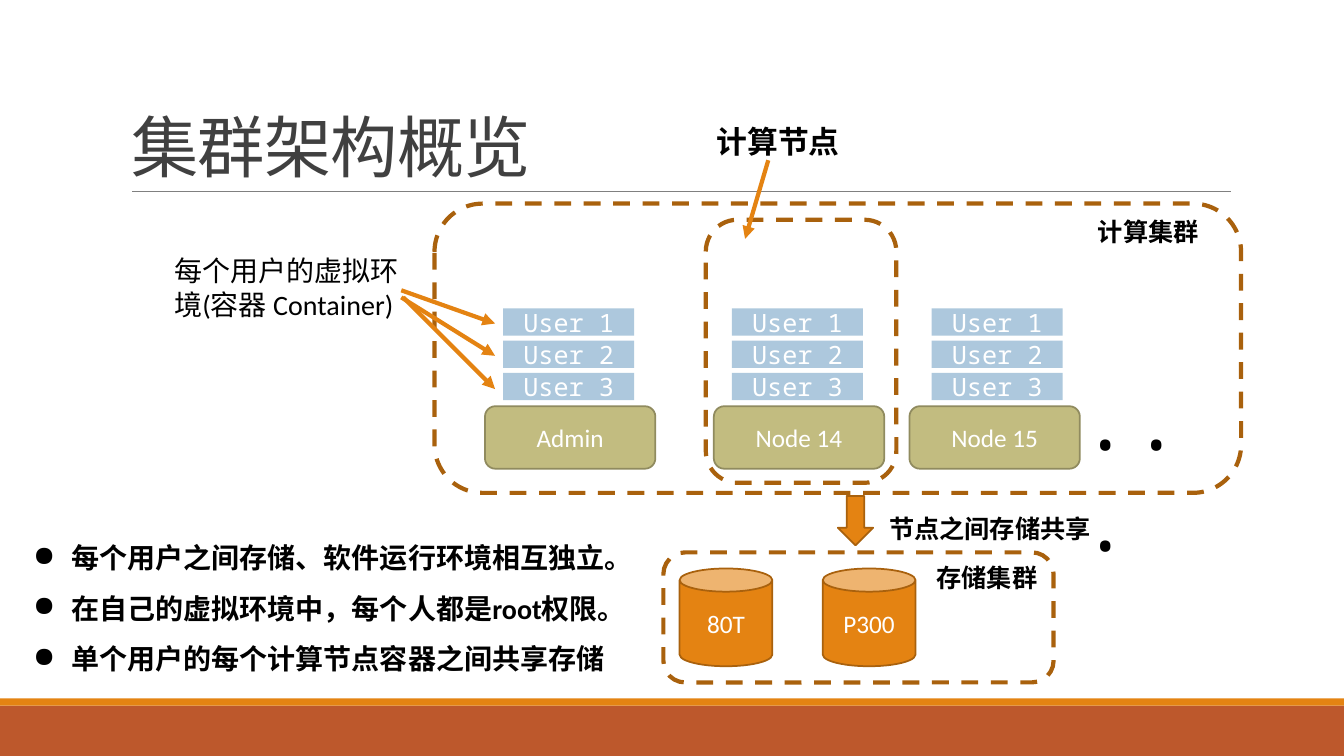
from lxml import etree
from pptx import Presentation, util as u
from pptx.dml.color import RGBColor
from pptx.enum import dml, shapes, text
from pptx.oxml import ns

PX = 9144
color = RGBColor.from_string
KIND = shapes.MSO_SHAPE
ORANGE, BROWN, BLACK, WHITE = "E48312", "A9610D", "000000", "FFFFFF"

deck = Presentation()
deck.slide_width, deck.slide_height = 1333 * PX, 750 * PX
page = deck.slides.add_slide(deck.slide_layouts[5])


def write(para, words, size, font, ink, bold=False):
    span = para.add_run()
    span.text = words
    span.font.size = u.Pt(size)
    span.font.name = font
    span.font.bold = bold
    span.font.color.rgb = color(ink)
    return span


def draw(kind, place, fill=None, line=None, width=1.25, label="", font="Calibri"):
    shape = page.shapes.add_shape(kind, *[n * PX for n in place])
    shape.shadow.inherit = False
    if fill:
        shape.fill.solid()
        shape.fill.fore_color.rgb = color(fill)
    else:
        shape.fill.background()
    if line:
        shape.line.color.rgb = color(line)
        shape.line.width = u.Pt(width)
    else:
        shape.line.fill.background()
    if label:
        shape.text_frame.vertical_anchor = text.MSO_ANCHOR.MIDDLE
        para = shape.text_frame.paragraphs[0]
        para.alignment = text.PP_ALIGN.CENTER
        write(para, label, 18, font, WHITE)
    return shape


draw(KIND.RECTANGLE, (0, 700, 1333, 50), "BD582C")
draw(KIND.RECTANGLE, (0, 693, 1333, 7), ORANGE)

title = page.shapes.title
title.left, title.top, title.width, title.height = [n * PX for n in (120, 31, 1100, 159)]
title.text_frame.auto_size = text.MSO_AUTO_SIZE.NONE
title.text_frame.vertical_anchor = text.MSO_ANCHOR.BOTTOM
heading = title.text_frame.paragraphs[0]
heading.alignment = text.PP_ALIGN.LEFT
heading.line_spacing = 0.85
span = write(heading, "集群架构概览", 48, "Cambria", "404040")
span.font._element.set("spc", "-50")

for left, name in ((674, "80T"), (816, "P300")):
    draw(KIND.CAN, (left, 564, 92, 97), ORANGE, BROWN, label=name)

for left, name, users_left in ((481, "Admin", 499), (708, "Node 14", 726), (902, "Node 15", 924)):
    draw(KIND.ROUNDED_RECTANGLE, (left, 403, 169, 62), "C2BC80", "908B5F", label=name)
    for row in range(3):
        draw(KIND.RECTANGLE, (users_left, 306 + 32 * row, 130, 27), "ADC8DD",
             label=f"User {row + 1}", font="Noto Sans Mono")

for place in ((431, 202, 800, 287), (658, 548, 387, 129), (700, 218, 189, 261)):
    frame = draw(KIND.ROUNDED_RECTANGLE, place, line=BROWN, width=3)
    frame.line.dash_style = dml.MSO_LINE.DASH

draw(KIND.DOWN_ARROW, (831, 492, 35, 49), ORANGE, BROWN)

notes = (
    ((1062, 359, 160, 111), "...", 60, "Noto Sans Mono", False),
    ((872, 504, 237, 40), "节点之间存储共享", 18, "Calibri", True),
    ((919, 553, 158, 40), "存储集群", 18, "Calibri", True),
    ((1079, 210, 124, 40), "计算集群", 18, "Calibri", True),
    ((163, 247, 249, 77), "每个用户的虚拟环境(容器 Container)", 20, "Calibri", False),
    ((701, 117, 181, 47), "计算节点", 22, "Noto Sans CJK SC", True),
)
for place, words, size, font, bold in notes:
    box = page.shapes.add_textbox(*[n * PX for n in place])
    box.text_frame.word_wrap = True
    write(box.text_frame.paragraphs[0], words, size, font, BLACK, bold)

box = page.shapes.add_textbox(*[n * PX for n in (23, 515, 598, 156)])
box.text_frame.word_wrap = True
points = ("每个用户之间存储、软件运行环境相互独立。",
          "在自己的虚拟环境中，每个人都是root权限。",
          "单个用户的每个计算节点容器之间共享存储")
for index, words in enumerate(points):
    para = box.text_frame.add_paragraph() if index else box.text_frame.paragraphs[0]
    props = para._p.get_or_add_pPr()
    props.set("marL", str(38 * PX))
    props.set("indent", str(-38 * PX))
    etree.SubElement(props, ns.qn("a:buChar")).set("char", "●")
    para.line_spacing = 1.5
    write(para, words, 20, "Calibri", BLACK, True)

lines = (
    ((131, 190, 1221, 190), "808080", 0.5, False),
    ((398, 288, 491, 321), ORANGE, 3, True),
    ((398, 295, 491, 353), ORANGE, 3, True),
    ((400, 295, 491, 386), ORANGE, 3, True),
    ((762, 159, 739, 237), ORANGE, 3, True),
)
for ends, ink, width, arrow in lines:
    link = page.shapes.add_connector(shapes.MSO_CONNECTOR.STRAIGHT, *[n * PX for n in ends])
    link.line.color.rgb = color(ink)
    link.line.width = u.Pt(width)
    if arrow:
        etree.SubElement(link.line._get_or_add_ln(), ns.qn("a:tailEnd")).set("type", "triangle")
    etree.SubElement(link._element.spPr, ns.qn("a:effectLst"))

deck.save("out.pptx")
